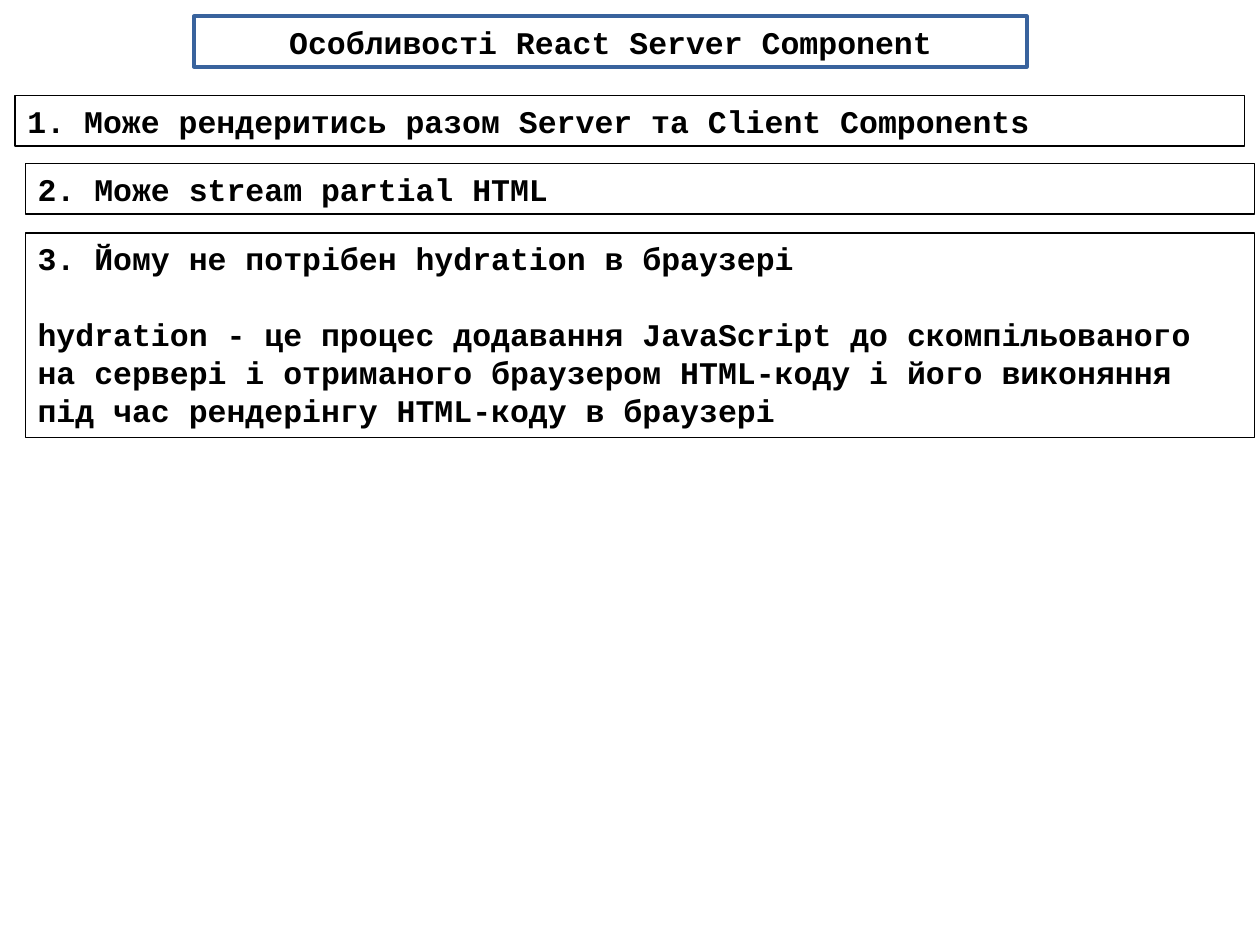
from pptx import Presentation
from pptx.dml.color import RGBColor
from pptx.enum import shapes, text
from pptx.util import Inches, Pt

COLORS = {"text": "000000", "border": "000000", "title_fill": "FFFFFF", "title_border": "39639D"}
FONT, SIZE, PARAGRAPH_GAP = "Courier New", 18, 21.6

TITLE = "Особливості React Server Component"
FEATURES = [
    (0.12, 0.76, 0.4, ["1. Може рендеритись разом Server та Client Components"]),
    (0.2, 1.3, 0.4, ["2. Може stream partial HTML"]),
    (0.2, 1.85, 1.62, [
        "3. Йому не потрібен hydration в браузері",
        "hydration - це процес додавання JavaScript до скомпільованого на сервері "
        "і отриманого браузером HTML-коду і його виконяння під час рендерінгу "
        "HTML-коду в браузері",
    ]),
]
FEATURE_WIDTH = 9.76


def color(name):
    return RGBColor.from_string(COLORS[name])


def add_box(s, box, paragraphs, border, weight, align, anchor, fill=None):
    sp = s.shapes.add_shape(shapes.MSO_SHAPE.RECTANGLE, *map(Inches, box))
    sp.shadow.inherit = False
    if fill:
        sp.fill.solid()
        sp.fill.fore_color.rgb = color(fill)
    else:
        sp.fill.background()
    sp.line.color.rgb = color(border)
    sp.line.width = Pt(weight)
    tf = sp.text_frame
    tf.word_wrap = True
    tf.vertical_anchor = anchor
    tf.text = "\n".join(paragraphs)
    for i, p in enumerate(tf.paragraphs):
        p.alignment = align
        if i:
            p.space_before = Pt(PARAGRAPH_GAP)
        for r in p.runs:
            r.font.name = FONT
            r.font.size = Pt(SIZE)
            r.font.bold = True
            r.font.color.rgb = color("text")
    return sp


def main():
    prs = Presentation()
    prs.slide_width, prs.slide_height = Inches(10), Inches(7.5)
    s = prs.slides.add_slide(prs.slide_layouts[6])
    add_box(s, (1.54, 0.13, 6.61, 0.4), [TITLE], "title_border", 2.25,
            text.PP_ALIGN.CENTER, text.MSO_ANCHOR.MIDDLE, "title_fill")
    for left, top, height, paragraphs in FEATURES:
        sp = add_box(s, (left, top, FEATURE_WIDTH, height), paragraphs, "border", 0.75,
                     text.PP_ALIGN.LEFT, text.MSO_ANCHOR.TOP)
        sp.text_frame.auto_size = text.MSO_AUTO_SIZE.SHAPE_TO_FIT_TEXT
    prs.save("out.pptx")


if __name__ == "__main__":
    main()
